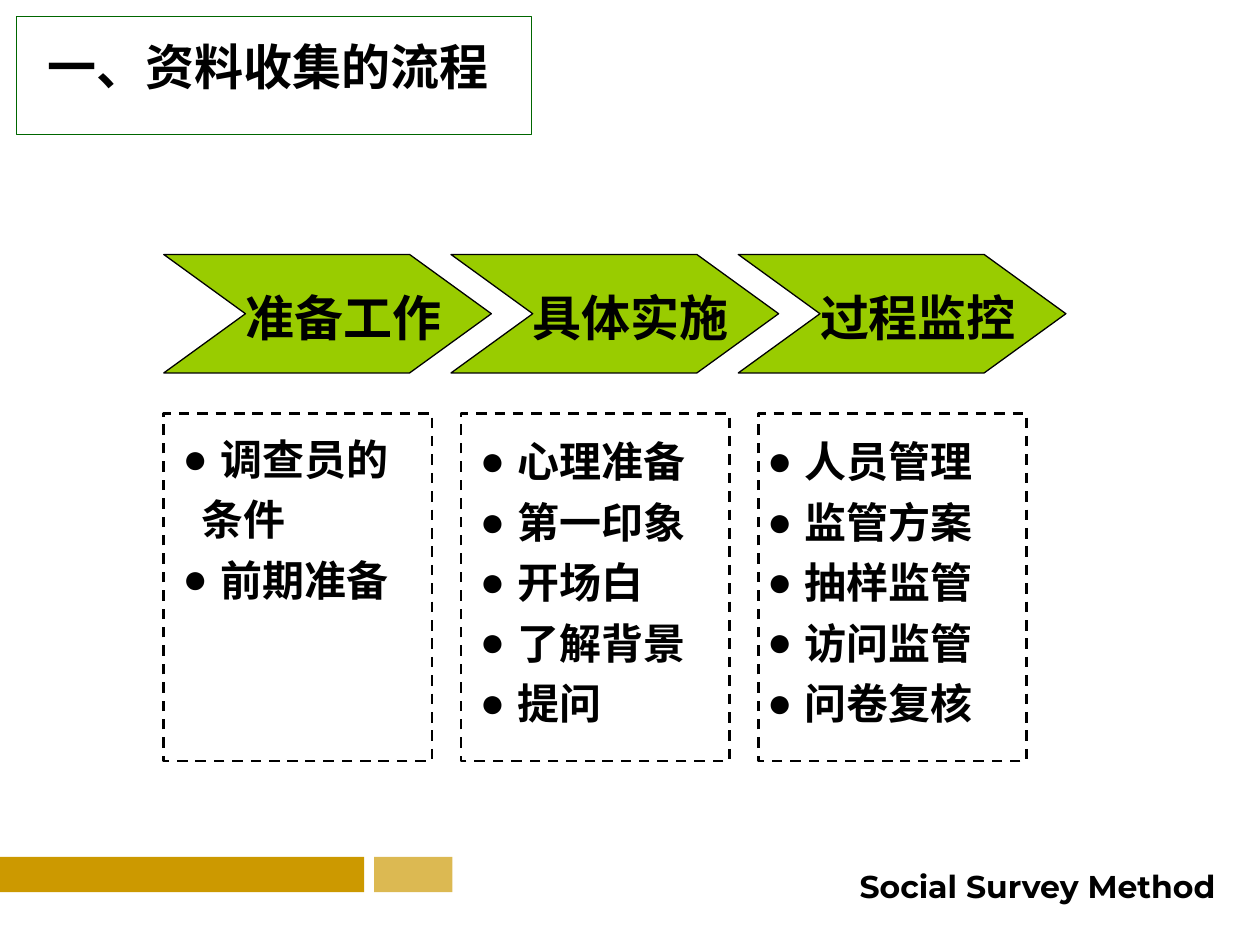
from dataclasses import dataclass

from lxml import etree
from pptx import Presentation
from pptx.dml.color import RGBColor
from pptx.enum.dml import MSO_LINE
from pptx.enum.shapes import MSO_SHAPE
from pptx.enum.text import PP_ALIGN
from pptx.oxml.ns import qn
from pptx.util import Inches, Pt

RECTANGLE = MSO_SHAPE.RECTANGLE
CHEVRON = MSO_SHAPE.CHEVRON
DASH = MSO_LINE.DASH
LEFT = PP_ALIGN.LEFT
CENTER = PP_ALIGN.CENTER


@dataclass(frozen=True)
class Theme:
    ink: str = "000000"
    gold: str = "CC9900"
    green: str = "99CC00"
    frame: str = "006600"
    latin: str = "Arial"
    chinese: str = "Noto Sans CJK SC"
    footer: str = "Montserrat"
    heading_size: int = 28
    list_size: int = 24
    footer_size: int = 18


THEME = Theme()

STAGES = [
    ("准备工作", 1.35, 3.28, ["调查员的", "条件", "前期准备"]),
    ("具体实施", 3.71, 3.3, ["心理准备", "第一印象", "开场白", "了解背景", "提问"]),
    ("过程监控", 5.99, 3.3, ["人员管理", "监管方案", "抽样监管", "访问监管", "问卷复核"]),
]
CONTINUATIONS = {"条件"}
ARROW_LEFT, ARROW_STEP = 1.3, 2.28
PANEL_LEFT, PANEL_STEP = 1.3, 2.36
BULLET_INDENT = 0.3
CONTINUATION_INDENT = 0.15


def add_block(page, kind, left, top, width, height, fill=None, alpha=None,
              line=None, weight=0.75, dash=None):
    block = page.shapes.add_shape(
        kind, Inches(left), Inches(top), Inches(width), Inches(height))
    block.shadow.inherit = False
    if fill:
        block.fill.solid()
        block.fill.fore_color.rgb = RGBColor.from_string(fill)
    else:
        block.fill.background()
    if alpha:
        color = block.fill._xPr.find(".//" + qn("a:srgbClr"))
        etree.SubElement(color, qn("a:alpha"), val=str(alpha * 1000))
    if line:
        block.line.color.rgb = RGBColor.from_string(line)
        block.line.width = Pt(weight)
        block.line.dash_style = dash
    else:
        block.line.fill.background()
    return block


def indent_paragraph(para, margin, bullet=None):
    properties = para._p.get_or_add_pPr()
    properties.set("marL", str(Inches(margin)))
    if bullet:
        properties.set("indent", str(-Inches(margin)))
        color = etree.SubElement(properties, qn("a:buClr"))
        etree.SubElement(color, qn("a:srgbClr"), val=THEME.ink)
        etree.SubElement(properties, qn("a:buFont"), typeface=THEME.latin)
        etree.SubElement(properties, qn("a:buChar"), char=bullet)


def add_span(para, text, size, font):
    span = para.add_run()
    span.text = text
    span.font.size = Pt(size)
    span.font.bold = True
    span.font.name = font
    span.font.color.rgb = RGBColor.from_string(THEME.ink)
    latin = span._r.rPr.find(qn("a:latin"))
    latin.addnext(etree.Element(qn("a:ea"), typeface=THEME.chinese))


def add_text(page, lines, left, top, width, height, size=THEME.heading_size,
             font=THEME.latin, align=LEFT, wrap=True, spacing=None, inset=0.05,
             bullet=None):
    box = page.shapes.add_textbox(
        Inches(left), Inches(top), Inches(width), Inches(height))
    frame = box.text_frame
    frame.word_wrap = wrap
    frame.margin_top = Inches(inset)
    for index, text in enumerate(lines):
        para = frame.paragraphs[0] if index == 0 else frame.add_paragraph()
        if text in CONTINUATIONS:
            indent_paragraph(para, CONTINUATION_INDENT)
        elif bullet:
            indent_paragraph(para, BULLET_INDENT, bullet)
        para.alignment = align
        if spacing:
            para.line_spacing = Pt(size * spacing)
        add_span(para, text, size, font)


def add_heading(page, text, left, top, width):
    add_text(page, [text], left, top, width, 0.57, spacing=1.2, inset=0.08)


def add_stage(page, index, name, list_left, list_top, items):
    arrow_left = ARROW_LEFT + index * ARROW_STEP
    arrow = add_block(page, CHEVRON, arrow_left, 2.02, 2.6, 0.94,
                      fill=THEME.green, line=THEME.ink)
    arrow.adjustments[0] = 0.69
    add_heading(page, name, arrow_left + 0.55, 2.2, 2.22)
    add_text(page, items, list_left, list_top, 2.08, 0.1 + 0.48 * len(items),
             size=THEME.list_size, font=THEME.chinese, spacing=1.44,
             inset=0.08, bullet="●")
    add_block(page, RECTANGLE, PANEL_LEFT + index * PANEL_STEP, 3.28, 2.13, 2.76,
              line=THEME.ink, weight=1.5, dash=DASH)


def add_footer(page):
    add_block(page, RECTANGLE, 0, 6.8, 2.89, 0.28, fill=THEME.gold)
    add_block(page, RECTANGLE, 2.97, 6.8, 0.62, 0.28, fill=THEME.gold, alpha=68)
    add_text(page, ["Social Survey Method"], 6.57, 6.83, 3.33, 0.33,
             size=THEME.footer_size, font=THEME.footer, align=CENTER, wrap=False)


def main():
    deck = Presentation()
    deck.slide_width = Inches(10)
    deck.slide_height = Inches(7.5)
    page = deck.slides.add_slide(deck.slide_layouts[6])
    add_footer(page)
    for index, stage in enumerate(STAGES):
        add_stage(page, index, *stage)
    add_heading(page, "一、资料收集的流程", 0.28, 0.21, 5.27)
    add_block(page, RECTANGLE, 0.13, 0.13, 4.09, 0.94, line=THEME.frame)
    deck.save("out.pptx")


if __name__ == "__main__":
    main()
